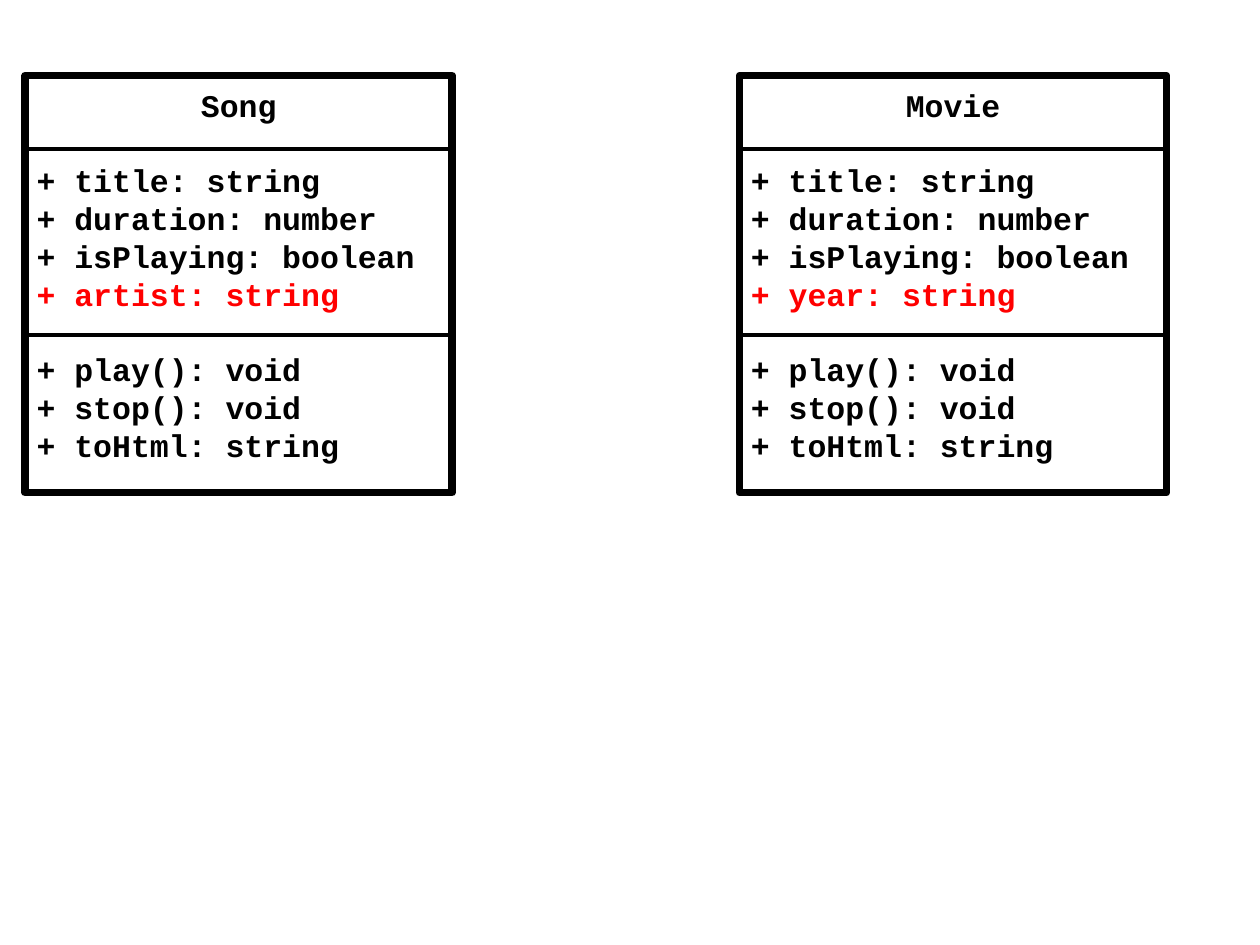
from lxml import etree
from pptx import Presentation
from pptx import util as u
from pptx.dml.color import RGBColor
from pptx.enum import shapes, text
from pptx.oxml.ns import qn

BLACK = RGBColor(0, 0, 0)
RED = RGBColor(255, 0, 0)

TOP, WIDTH, HEIGHT = 43.2, 244, 238.3
DIVIDERS = (85, 191.5)
SHARED_FIELDS = ["title: string", "duration: number", "isPlaying: boolean"]
METHODS = ["play(): void", "stop(): void", "toHtml: string"]
CLASSES = [
    (14.4, "Song", "artist: string"),
    (422.6, "Movie", "year: string"),
]


class Diagram:
    font = "Courier New"
    size = 18
    line_height = 21.66
    section_gap = 21.2
    border = 4.33
    divider = 2.25

    def __init__(self, slide):
        self.slide = slide

    def line(self, parent, x, y, width):
        cx = parent.add_connector(shapes.MSO_CONNECTOR.STRAIGHT,
                                  u.Pt(x), u.Pt(y), u.Pt(x + width), u.Pt(y))
        cx.line.color.rgb = BLACK
        cx.line.width = u.Pt(self.divider)
        etree.SubElement(cx._element.spPr, qn("a:effectLst"))

    def frame(self, parent, x, y, width, height):
        sp = parent.add_shape(shapes.MSO_SHAPE.RECTANGLE,
                              u.Pt(x), u.Pt(y), u.Pt(width), u.Pt(height))
        sp.shadow.inherit = False
        sp.fill.background()
        sp.line.color.rgb = BLACK
        sp.line.width = u.Pt(self.border)
        etree.SubElement(sp.line._get_or_add_ln(), qn("a:round"))
        tf = sp.text_frame
        tf.word_wrap = True
        tf.vertical_anchor = text.MSO_ANCHOR.TOP
        tf.margin_left = tf.margin_right = u.Pt(6.5)
        tf.margin_top = u.Pt(6)
        return tf

    def row(self, p, words, color=BLACK, align=text.PP_ALIGN.LEFT, gap=0):
        p.alignment = align
        p.line_spacing = u.Pt(self.line_height)
        p.space_before = u.Pt(gap)
        r = p.add_run()
        r.text = words
        r.font.name = self.font
        r.font.size = u.Pt(self.size)
        r.font.bold = True
        r.font.color.rgb = color

    def class_box(self, x, name, own_field):
        """Draw a UML class; the field it does not share is red."""
        group = self.slide.shapes.add_group_shape().shapes
        tf = self.frame(group, x, TOP, WIDTH, HEIGHT)
        self.row(tf.paragraphs[0], name, align=text.PP_ALIGN.CENTER)
        for members in (SHARED_FIELDS + [own_field], METHODS):
            for i, member in enumerate(members):
                self.row(tf.add_paragraph(), "+ " + member,
                         color=RED if member == own_field else BLACK,
                         gap=0 if i else self.section_gap)
        for y in DIVIDERS:
            self.line(group, x, y, WIDTH)


def main():
    prs = Presentation()
    prs.slide_width, prs.slide_height = u.Pt(720), u.Pt(540)
    diagram = Diagram(prs.slides.add_slide(prs.slide_layouts[6]))
    for x, name, own_field in CLASSES:
        diagram.class_box(x, name, own_field)
    prs.save("out.pptx")


if __name__ == "__main__":
    main()
